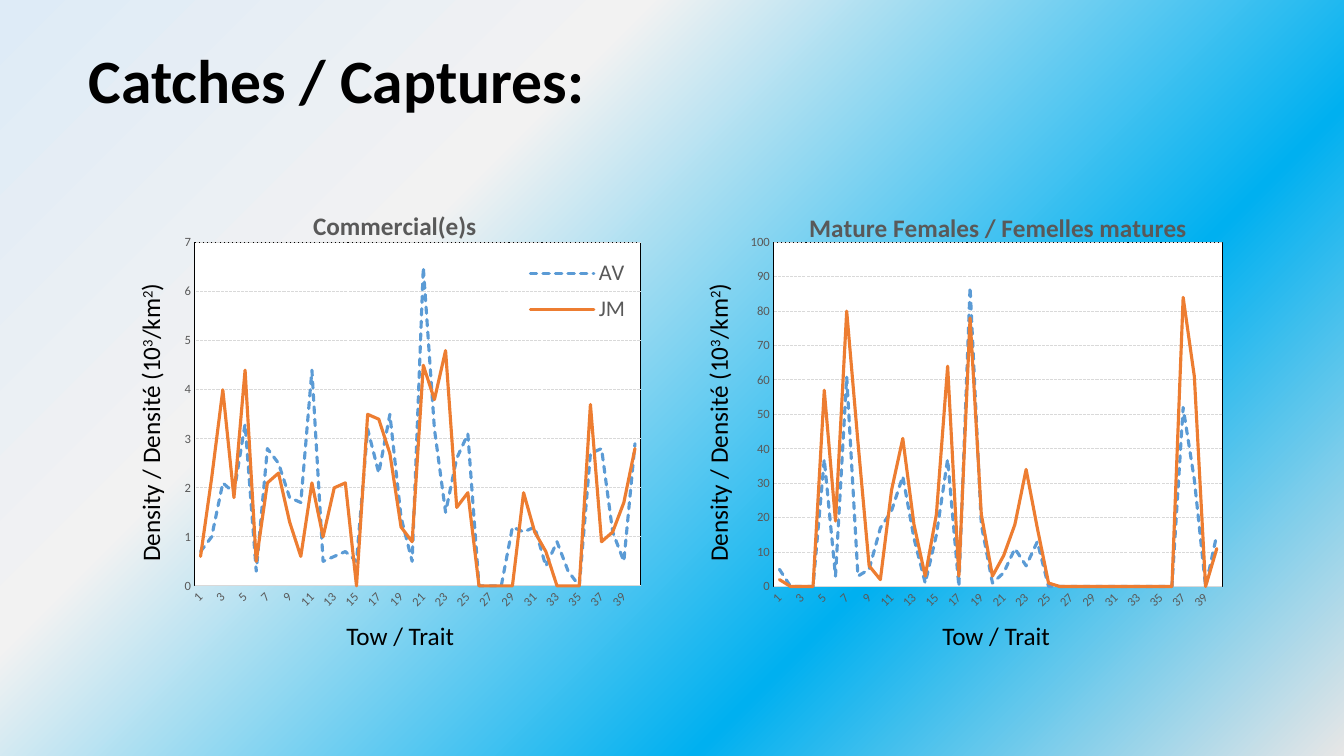
import pptx
import pptx.chart.data
import pptx.dml.color
import pptx.enum.chart
import pptx.enum.dml
import pptx.enum.text
import pptx.oxml
import pptx.oxml.ns
import pptx.util
from dataclasses import dataclass
from pptx.util import Inches

TITLE = "Catches / Captures:"
TOW_LABEL = "Tow / Trait"
DENSITY_LABEL = [("Density / Densité (10", False), ("3", True), ("/km", False),
                 ("2", True), (")", False)]
TOWS = [str(tow) for tow in range(1, 41)]

# Boxes are left, top, width, height: inches on the slide, fractions inside a chart.
PANELS = [
    dict(
        title="Commercial(e)s", box=(1.12, 1.93, 5.39, 4.69),
        plot=(0.151, 0.102, 0.82, 0.726), title_at=(0.36, 0.02),
        legend=(0.75, 0.12, 0.21, 0.17), top=7, step=1,
        tow_left=3.15, density_left=-0.18,
        AV=[0.7, 1, 2.1, 1.9, 3.3, 0.3, 2.8, 2.5, 1.8, 1.7, 4.4, 0.5, 0.6, 0.7,
            0.5, 3.2, 2.3, 3.5, 1.4, 0.5, 6.5, 3.2, 1.5, 2.6, 3.1, 0, 0, 0, 1.2,
            1.1, 1.2, 0.4, 0.9, 0.3, 0, 2.7, 2.8, 1.1, 0.5, 2.9],
        JM=[0.6, 2.2, 4, 1.8, 4.4, 0.5, 2.1, 2.3, 1.3, 0.6, 2.1, 1, 2, 2.1, 0,
            3.5, 3.4, 2.7, 1.2, 0.9, 4.5, 3.8, 4.8, 1.6, 1.9, 0, 0, 0, 0, 1.9,
            1.1, 0.7, 0, 0, 0, 3.7, 0.9, 1.1, 1.7, 2.8]),
    dict(
        title="Mature Females / Femelles matures", box=(7.28, 1.82, 5, 4.39),
        plot=(0.079, 0.133, 0.89, 0.778), title_at=(0.14, 0.05),
        legend=None, top=100, step=10,
        tow_left=9.06, density_left=5.45,
        AV=[5, 0, 0, 0, 37, 3, 61, 3, 5, 17, 22, 32, 14, 1, 15, 37, 0, 87, 18, 1,
            4, 11, 6, 13, 0, 0, 0, 0, 0, 0, 0, 0, 0, 0, 0, 0, 52, 31, 0, 15],
        JM=[2, 0, 0, 0, 57, 19, 80, 42, 6, 2, 28, 43, 18, 3, 21, 64, 3, 78, 21, 3,
            9, 18, 34, 17, 1, 0, 0, 0, 0, 0, 0, 0, 0, 0, 0, 0, 84, 61, 0, 11]),
]


@dataclass(frozen=True)
class Theme:
    font: str = "Calibri"
    ink: str = "000000"
    muted: str = "595959"
    grid: str = "D9D9D9"
    av: str = "5B9BD5"
    jm: str = "ED7D31"
    background: tuple = ((0, "DEEBF7"), (31, "F2F2F2"), (69, "00B0F0"), (100, "E7E6E6"))
    heading: int = 44
    label: int = 18
    legend: int = 16
    tick: int = 9


THEME = Theme()
DASH = pptx.enum.dml.MSO_LINE.SQUARE_DOT


def xml(markup):
    return pptx.oxml.parse_xml(markup.replace(">", " " + pptx.oxml.ns.nsdecls("a", "c") + ">", 1))


def style(font, size, color=THEME.ink, bold=False):
    font.name, font.size, font.bold = THEME.font, pptx.util.Pt(size), bold
    font.color.rgb = pptx.dml.color.RGBColor.from_string(color)


def draw_line(line, color, width, dash=None):
    line.color.rgb = pptx.dml.color.RGBColor.from_string(color)
    line.width = pptx.util.Pt(width)
    if dash is not None:
        line.dash_style = dash


def place(part, index, fractions, inner=False):
    """Give a chart part a manual layout, put at the child index its schema asks for."""
    for automatic in part.findall(pptx.oxml.ns.qn("c:layout")):
        part.remove(automatic)
    target = '<c:layoutTarget val="inner"/>' if inner else ""
    modes = '<c:xMode val="edge"/><c:yMode val="edge"/>'
    values = "".join(f'<c:{key} val="{value}"/>' for key, value in zip("xywh", fractions))
    part.insert(index, xml(f"<c:layout><c:manualLayout>{target}{modes}{values}"
                           "</c:manualLayout></c:layout>"))


def paint_background(slide):
    fill = slide.background.fill
    fill.gradient()
    fill.gradient_angle = 315
    stops = fill.gradient_stops[0]._gs.getparent()
    for stop in list(stops):
        stops.remove(stop)
    for percent, color in THEME.background:
        stops.append(xml(f'<a:gs pos="{percent * 1000}"><a:srgbClr val="{color}"/></a:gs>'))


def add_density_chart(slide, panel):
    data = pptx.chart.data.CategoryChartData()
    data.categories = TOWS
    for vessel in ("AV", "JM"):
        data.add_series(vessel, panel[vessel])
    chart = slide.shapes.add_chart(pptx.enum.chart.XL_CHART_TYPE.LINE,
                                   *map(Inches, panel["box"]), data).chart
    style(chart.font, 10)

    chart.has_title = True
    heading = chart.chart_title.text_frame
    heading.text = panel["title"]
    style(heading.paragraphs[0].runs[0].font, THEME.label, THEME.muted, True)
    place(chart.chart_title._element, 1, panel["title_at"])

    chart.has_legend = panel["legend"] is not None
    if chart.has_legend:
        chart.legend.position = pptx.enum.chart.XL_LEGEND_POSITION.BOTTOM
        chart.legend.include_in_layout = False
        style(chart.legend.font, THEME.legend, THEME.muted)
        place(chart.legend._element, 1, panel["legend"])

    tows, density = chart.category_axis, chart.value_axis
    for axis in (tows, density):
        axis.major_tick_mark = axis.minor_tick_mark = pptx.enum.chart.XL_TICK_MARK.NONE
        style(axis.tick_labels.font, THEME.tick, THEME.muted)
    draw_line(tows.format.line, THEME.grid, 0.75)
    tows._element.txPr.bodyPr.set("rot", "-2700000")
    tows._element.find(pptx.oxml.ns.qn("c:noMultiLvlLbl")).addprevious(
        xml('<c:tickLblSkip val="2"></c:tickLblSkip>'))
    density.minimum_scale, density.maximum_scale = 0, panel["top"]
    density.major_unit = panel["step"]
    density.tick_labels.number_format = "0"
    density.tick_labels.number_format_is_linked = False
    density.format.line.fill.background()
    draw_line(density.major_gridlines.format.line, THEME.grid, 0.75, DASH)

    plot = chart.plots[0]
    plot.vary_by_categories = False
    for series, color, dash in zip(plot.series, (THEME.av, THEME.jm), (DASH, None)):
        series.smooth = False
        series.marker.style = pptx.enum.chart.XL_MARKER_STYLE.NONE
        draw_line(series.format.line, color, 2.25, dash)
        series.format.line._get_or_add_ln().set("cap", "rnd")

    frame = chart._chartSpace.chart
    place(frame.plotArea, 0, panel["plot"], inner=True)
    frame.plotArea.append(xml(
        '<c:spPr><a:solidFill><a:srgbClr val="FFFFFF"/></a:solidFill><a:ln w="9525">'
        f'<a:solidFill><a:srgbClr val="{THEME.ink}"/></a:solidFill></a:ln></c:spPr>'))
    frame.addnext(xml("<c:spPr><a:noFill/><a:ln><a:noFill/></a:ln></c:spPr>"))


def add_axis_label(slide, box, parts, align, rotation=0):
    """Write (text, is_superscript) parts as one line."""
    label = slide.shapes.add_textbox(*map(Inches, box))
    label.rotation = rotation
    label.text_frame.word_wrap = True
    paragraph = label.text_frame.paragraphs[0]
    paragraph.alignment = align
    for text, raised in parts:
        run = paragraph.add_run()
        run.text = text
        style(run.font, THEME.label)
        if raised:
            run.font._element.set("baseline", "30000")


def main():
    deck = pptx.Presentation()
    deck.slide_width, deck.slide_height = Inches(13.33), Inches(7.5)
    slide = deck.slides.add_slide(deck.slide_layouts[5])
    paint_background(slide)

    title = slide.shapes.title
    title.left, title.top, title.width, title.height = map(Inches, (0.78, 0.43, 11.5, 0.8))
    title.text_frame.text = TITLE
    title.text_frame.vertical_anchor = pptx.enum.text.MSO_ANCHOR.MIDDLE
    paragraph = title.text_frame.paragraphs[0]
    paragraph.alignment = pptx.enum.text.PP_ALIGN.LEFT
    paragraph.line_spacing = 0.9
    style(paragraph.runs[0].font, THEME.heading, bold=True)

    for panel in PANELS:
        add_density_chart(slide, panel)
        add_axis_label(slide, (panel["tow_left"], 6.1, 1.64, 0.52), [(TOW_LABEL, False)],
                       pptx.enum.text.PP_ALIGN.CENTER)
        add_axis_label(slide, (panel["density_left"], 3.84, 3.3, 0.36), DENSITY_LABEL,
                       pptx.enum.text.PP_ALIGN.LEFT, rotation=270)
    deck.save("out.pptx")


if __name__ == "__main__":
    main()
